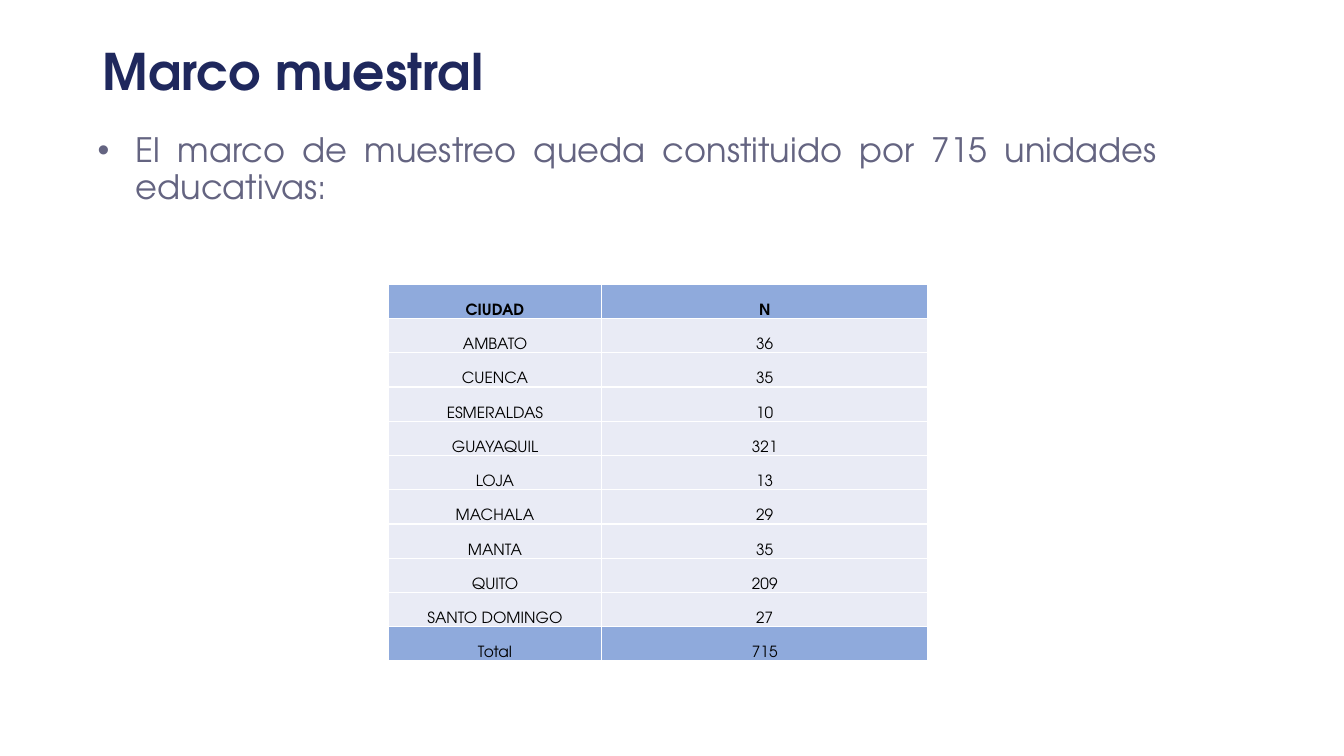
from lxml.etree import SubElement
from pptx import Presentation
from pptx.dml.color import RGBColor
from pptx.enum.text import MSO_ANCHOR as Anchor, PP_ALIGN as Align
from pptx.oxml.ns import qn
from pptx.util import Inches, Pt

TITLE = "Marco muestral"
BULLET = "El marco de muestreo queda constituido por 715 unidades educativas:"
ROWS = [
    ("CIUDAD", "N"),
    ("AMBATO", "36"),
    ("CUENCA", "35"),
    ("ESMERALDAS", "10"),
    ("GUAYAQUIL", "321"),
    ("LOJA", "13"),
    ("MACHALA", "29"),
    ("MANTA", "35"),
    ("QUITO", "209"),
    ("SANTO DOMINGO", "27"),
    ("Total", "715"),
]
COLUMN_WIDTHS = (2.12, 3.23)
ROW_HEIGHT = 0.34
FONT = "TeX Gyre Adventor"
NAVY, SLATE, BLACK, WHITE = "1F285D", "646481", "000000", "FFFFFF"
BAND_FILL, CITY_FILL = "8FAADC", "E9EBF5"


def color(hex_string):
    return RGBColor.from_string(hex_string)


def style(para, size, hex_string, align, bold=False):
    para.alignment = align
    for span in para.runs:
        span.font.name = FONT
        span.font.size = Pt(size)
        span.font.bold = bold
        span.font.color.rgb = color(hex_string)


def add_bullet(para, indent):
    """Give the paragraph a round bullet with a hanging indent."""
    properties = para._p.get_or_add_pPr()
    properties.set("marL", str(Inches(indent)))
    properties.set("indent", str(-Inches(indent)))
    SubElement(properties, qn("a:buFont"), typeface="Arial")
    SubElement(properties, qn("a:buChar"), char="•")


def add_borders(cell, hex_string, width):
    properties = cell._tc.get_or_add_tcPr()
    for side in ("lnL", "lnR", "lnT", "lnB"):
        line = SubElement(properties, qn(f"a:{side}"), w=str(Pt(width)))
        fill = SubElement(line, qn("a:solidFill"))
        SubElement(fill, qn("a:srgbClr"), val=hex_string)


def fill_cell(cell, text, fill, bold):
    add_borders(cell, WHITE, 1)
    cell.fill.solid()
    cell.fill.fore_color.rgb = color(fill)
    cell.vertical_anchor = Anchor.BOTTOM
    cell.margin_left = cell.margin_right = cell.margin_top = Inches(0.01)
    cell.margin_bottom = 0
    cell.text_frame.text = text
    style(cell.text_frame.paragraphs[0], 11, BLACK, Align.CENTER, bold)


deck = Presentation()
deck.slide_width, deck.slide_height = Inches(13.33), Inches(7.5)
page = deck.slides.add_slide(deck.slide_layouts[5])

title = page.shapes.title
title.left, title.top = Inches(0.92), Inches(0.37)
title.width, title.height = Inches(8.46), Inches(0.74)
title.text_frame.text = TITLE
title.text_frame.vertical_anchor = Anchor.MIDDLE
heading = title.text_frame.paragraphs[0]
heading.line_spacing = 0.9
style(heading, 36, NAVY, Align.LEFT, bold=True)

box = page.shapes.add_textbox(Inches(0.87), Inches(1.28), Inches(10.7), Inches(0.93))
box.text_frame.word_wrap = True
box.text_frame.text = BULLET
statement = box.text_frame.paragraphs[0]
statement.line_spacing = 0.9
add_bullet(statement, 0.38)
style(statement, 24, SLATE, Align.JUSTIFY)

table = page.shapes.add_table(
    len(ROWS), len(COLUMN_WIDTHS), Inches(3.85), Inches(2.82),
    Inches(sum(COLUMN_WIDTHS)), Inches(ROW_HEIGHT * len(ROWS))).table
for column, width in zip(table.columns, COLUMN_WIDTHS):
    column.width = Inches(width)
for r, values in enumerate(ROWS):
    table.rows[r].height = Inches(ROW_HEIGHT)
    fill = BAND_FILL if r in (0, len(ROWS) - 1) else CITY_FILL
    for c, value in enumerate(values):
        fill_cell(table.cell(r, c), value, fill, bold=r == 0)

deck.save("out.pptx")
